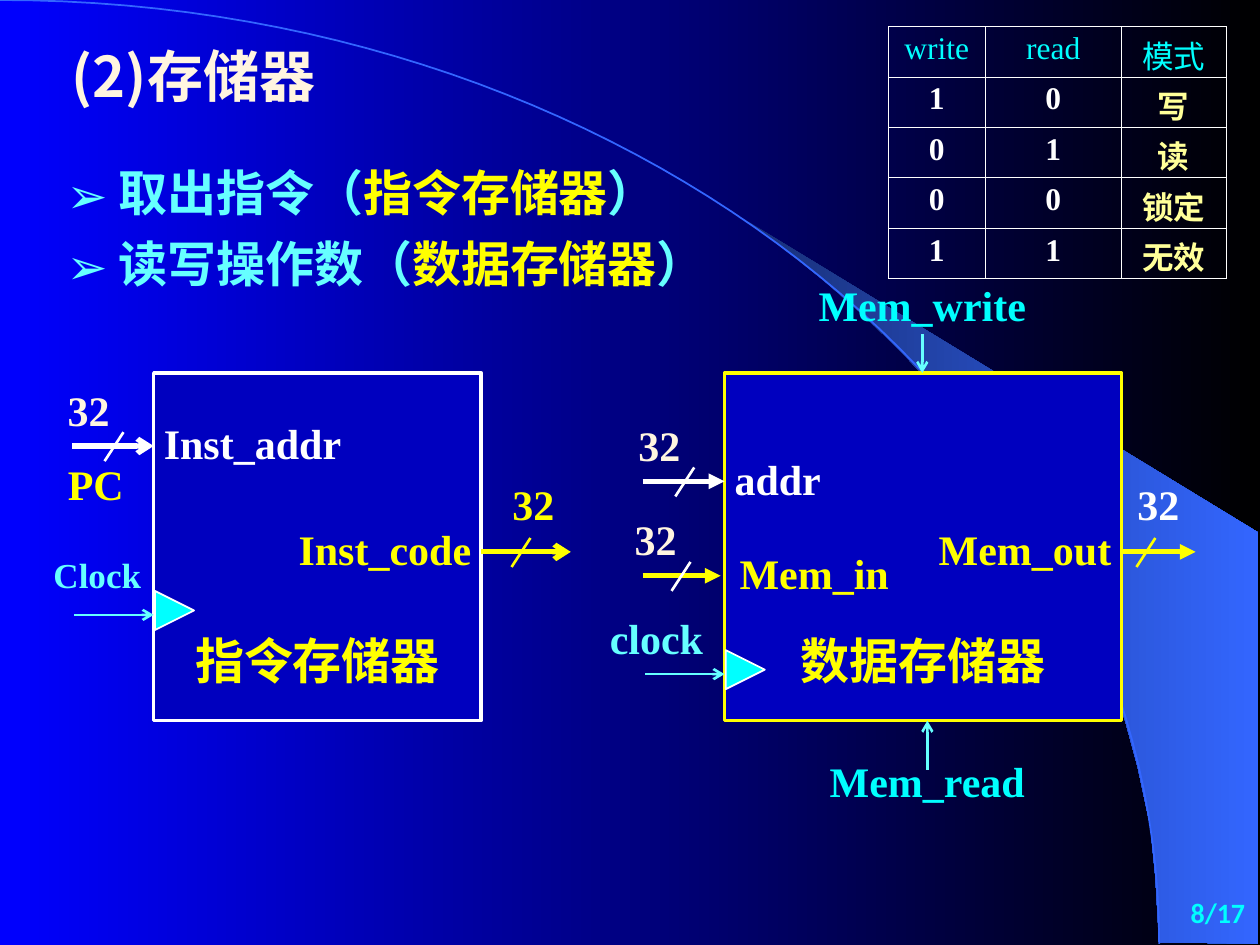
from lxml.etree import SubElement
from pptx import Presentation
from pptx.dml.color import RGBColor
from pptx.enum.shapes import MSO_CONNECTOR as Conn, MSO_SHAPE as Shp
from pptx.enum.text import MSO_ANCHOR as Anc, PP_ALIGN as Al
from pptx.oxml.ns import qn
from pptx.util import Inches, Pt

HUES = dict(blue="0000FF", black="000000", navy="182F76", sky="3366FF",
            deep="0000BF", white="FFFFFF", cream="FFF5E0", yellow="FFFF00",
            pale="FFFF99", cyan="00FFFF", aqua="66FFFF")
SANS, SERIF = "Noto Sans CJK SC", "Times New Roman"

FAN = [(9.2, 7.48), (9.99, 7.49), (9.99, 4.23), (5.89, 1.73), (6.24, 1.99),
       (6.53, 2.22), (6.85, 2.5), (7.16, 2.8), (7.62, 3.3), (8.03, 3.84),
       (8.32, 4.31), (8.58, 4.79), (8.78, 5.28), (8.93, 5.72), (9.03, 6.09),
       (9.13, 6.56), (9.17, 6.96)]
ARC = [(0, 0), (5.08, 0), (9.2, 3.35), (9.2, 7.49)]  # Bezier control points

POINTS = [(" 取出指令（", "指令存储器", "）"),
          (" 读写操作数（", "数据存储器", "）")]

# name, left, width, outline
UNITS = [("指令存储器", 1.22, 2.6, "white"), ("数据存储器", 5.75, 3.15, "yellow")]
TOP, TALL = 2.96, 2.76

# name, name edge, colour, wire start, wire end, y, slash x, slash colour,
# width colour, arrowhead
INS = [("Inst_addr", 1.3, "white", 0.57, 1.22, 3.54, 0.98, "white", "cream", "arrow"),
       ("addr", 5.83, "white", 5.1, 5.75, 3.82, 5.51, "white", "cream", "triangle"),
       ("Mem_in", 5.87, "yellow", 5.1, 5.72, 4.57, 5.48, "white", "cream", "triangle")]
OUTS = [("Inst_code", 3.74, "yellow", 3.82, 4.53, 4.38, 4.21, "yellow", "yellow", "arrow"),
        ("Mem_out", 8.82, "yellow", 8.9, 9.49, 4.38, 9.17, "yellow", "white", "triangle")]

# name, size, unit left, wire y, label right
CLOCKS = [("Clock", 20, 1.22, 4.88, 1.23), ("clock", 24, 5.75, 5.35, 5.69)]

# name, label left, label top, wire x, wire start, wire end
CTRLS = [("Mem_write", 6.22, 2.19, 7.32, 2.65, TOP),
         ("Mem_read", 6.26, 5.97, 7.36, 6.11, TOP + TALL)]

MODES = [("write", "read", "模式"), ("1", "0", "写"), ("0", "1", "读"),
         ("0", "0", "锁定"), ("1", "1", "无效")]
COLS = [0.77, 1.08, 0.83]


def rgb(hue):
    return RGBColor.from_string(HUES[hue])


def style(para, size, hue, face=SERIF, bold=True, align=Al.LEFT):
    para.alignment = align
    font = para.font
    font.size, font.name, font.bold = Pt(size), face, bold
    font.color.rgb = rgb(hue)
    SubElement(font._element, qn("a:ea"), typeface=SANS)


def pad(frame, left, top, right, bottom):
    frame.margin_left, frame.margin_top = Inches(left), Inches(top)
    frame.margin_right, frame.margin_bottom = Inches(right), Inches(bottom)


def label(text, x, y, w, h, size, hue, face=SERIF, align=Al.LEFT,
          inset=(0.1, 0.05), anchor=Anc.TOP):
    box = slide.shapes.add_textbox(Inches(x), Inches(y), Inches(w), Inches(h))
    frame = box.text_frame
    frame.word_wrap = True
    frame.vertical_anchor = anchor
    pad(frame, *inset, *inset)
    frame.text = text
    style(frame.paragraphs[0], size, hue, face, align=align)


def wire(x1, y1, x2, y2, hue, width, head=None):
    line = slide.shapes.add_connector(
        Conn.STRAIGHT, Inches(x1), Inches(y1), Inches(x2), Inches(y2))
    line.line.color.rgb = rgb(hue)
    line.line.width = Pt(width)
    if head:
        SubElement(line.line._get_or_add_ln(), qn("a:tailEnd"), type=head)
    SubElement(line._element.spPr, qn("a:effectLst"))


def solid(kind, x, y, w, h, fill, edge, width):
    shape = slide.shapes.add_shape(kind, Inches(x), Inches(y), Inches(w), Inches(h))
    shape.shadow.inherit = False
    shape.fill.solid()
    shape.fill.fore_color.rgb = rgb(fill)
    shape.line.color.rgb = rgb(edge)
    shape.line.width = Pt(width)
    return shape


def outline(dots, close):
    dots = [(Inches(x), Inches(y)) for x, y in dots]
    path = slide.shapes.build_freeform(*dots[0])
    path.add_line_segments(dots[1:], close=close)
    shape = path.convert_to_shape()
    shape.shadow.inherit = False
    return shape


def blend(fill, *hues):
    fill.gradient()
    fill.gradient_angle = 0
    for stop, hue in zip(fill.gradient_stops, hues):
        stop.color.rgb = rgb(hue)


def curve(ctrl, steps=60):
    """Points along a cubic Bezier."""
    for i in range(steps + 1):
        t = i / steps
        mix = (1 - t) ** 3, 3 * t * (1 - t) ** 2, 3 * t * t * (1 - t), t ** 3
        yield tuple(sum(m * c for m, c in zip(mix, axis)) for axis in zip(*ctrl))


def port(name, edge, hue, x1, x2, y, cut, cut_hue, bits_hue, head, out):
    wide = 1.73
    label(name, edge - wide if out else edge, y - 0.25, wide, 0.45, 24, hue,
          align=Al.RIGHT if out else Al.LEFT, inset=(0, 0), anchor=Anc.MIDDLE)
    wire(x1, y, x2, y, hue, 3, head)
    wire(cut, y - 0.11, cut - 0.15, y + 0.12, cut_hue, 1.5)
    dx, dy = (0.3, 0.63) if out else (0, 0.54)
    label("32", cut + dx - 0.63, y - dy, 0.63, 0.51, 24, bits_hue,
          align=Al.RIGHT, inset=(0.11, 0.05))


def bullet(para, hue):
    props = para._p.get_or_add_pPr()
    props.set("marL", str(Inches(0.56)))
    props.set("indent", str(Inches(-0.17)))
    SubElement(SubElement(props, qn("a:buClr")), qn("a:srgbClr"), val=HUES[hue])
    SubElement(props, qn("a:buFont"), typeface=SANS)
    SubElement(props, qn("a:buChar"), char="➢")


def border(cell, hue, width):
    props = cell._tc.get_or_add_tcPr()
    for i, side in enumerate(("lnL", "lnR", "lnT", "lnB")):
        line = props.makeelement(qn("a:" + side), {"w": str(Pt(width))})
        props.insert(i, line)
        SubElement(SubElement(line, qn("a:solidFill")), qn("a:srgbClr"), val=HUES[hue])


prs = Presentation()
prs.slide_width, prs.slide_height = Inches(10), Inches(7.5)
slide = prs.slides.add_slide(prs.slide_layouts[6])
blend(slide.background.fill, "blue", "black")

fan = outline(FAN, True)
blend(fan.fill, "navy", "sky")
fan.line.fill.background()
arc = outline(list(curve(ARC)), False)
arc.fill.background()
arc.line.color.rgb = rgb("sky")
arc.line.width = Pt(1)

label("8/17", 7.9, 7.06, 2.08, 0.42, 16, "cyan", "Calibri", Al.RIGHT)
label("(2)存储器", 0.47, 0.28, 2.87, 0.64, 32, "cream", SANS)

box = slide.shapes.add_textbox(Inches(0.04), Inches(1.15), Inches(5.75), Inches(1.78))
frame = box.text_frame
frame.word_wrap = True
for i, parts in enumerate(POINTS):
    para = frame.add_paragraph() if i else frame.paragraphs[0]
    para.line_spacing = 1.2
    bullet(para, "aqua")
    style(para, 28, "aqua", SANS)
    for text in parts:
        para.add_run().text = text
    para.runs[1].font.color.rgb = rgb("yellow")

for name, x, w, edge in UNITS:
    frame = solid(Shp.RECTANGLE, x, TOP, w, TALL, "deep", edge, 2).text_frame
    frame.vertical_anchor = Anc.BOTTOM
    pad(frame, 0.1, 0.05, 0.1, 0.25)
    frame.text = name
    style(frame.paragraphs[0], 28, "yellow", SANS, align=Al.CENTER)

for row in INS:
    port(*row, out=False)
for row in OUTS:
    port(*row, out=True)

for name, size, x, y, right in CLOCKS:
    solid(Shp.ISOSCELES_TRIANGLE, x + 0.01, y - 0.19, 0.31, 0.31,
          "cyan", "white", 1).rotation = 90
    wire(x - 0.63, y, x, y, "aqua", 1.5, "arrow")
    label(name, right - 1.2, y - 0.54, 1.2, 0.51, size, "aqua",
          align=Al.RIGHT, inset=(0.11, 0.05))

for name, left, top, x, y1, y2 in CTRLS:
    label(name, left, top, 2.2, 0.45, 24, "cyan", align=Al.CENTER,
          inset=(0, 0), anchor=Anc.MIDDLE)
    wire(x, y1, x, y2, "aqua", 1.5, "arrow")

label("PC", 0.44, 3.59, 0.75, 0.5, 24, "yellow")

table = slide.shapes.add_table(len(MODES), len(COLS), Inches(7.05), Inches(0.21),
                               Inches(sum(COLS)), Inches(2)).table
table.first_row = table.horz_banding = False
for col, w in zip(table.columns, COLS):
    col.width = Inches(w)
for r, row in enumerate(MODES):
    for c, text in enumerate(row):
        cell = table.cell(r, c)
        cell.text = text
        cell.fill.background()
        pad(cell, 0.1, 0.04, 0.1, 0)
        hue = "cyan" if r == 0 else "pale" if c == 2 else "white"
        style(cell.text_frame.paragraphs[0], 18, hue, bold=r > 0, align=Al.CENTER)
        border(cell, "white", 0.23)

prs.save("out.pptx")
